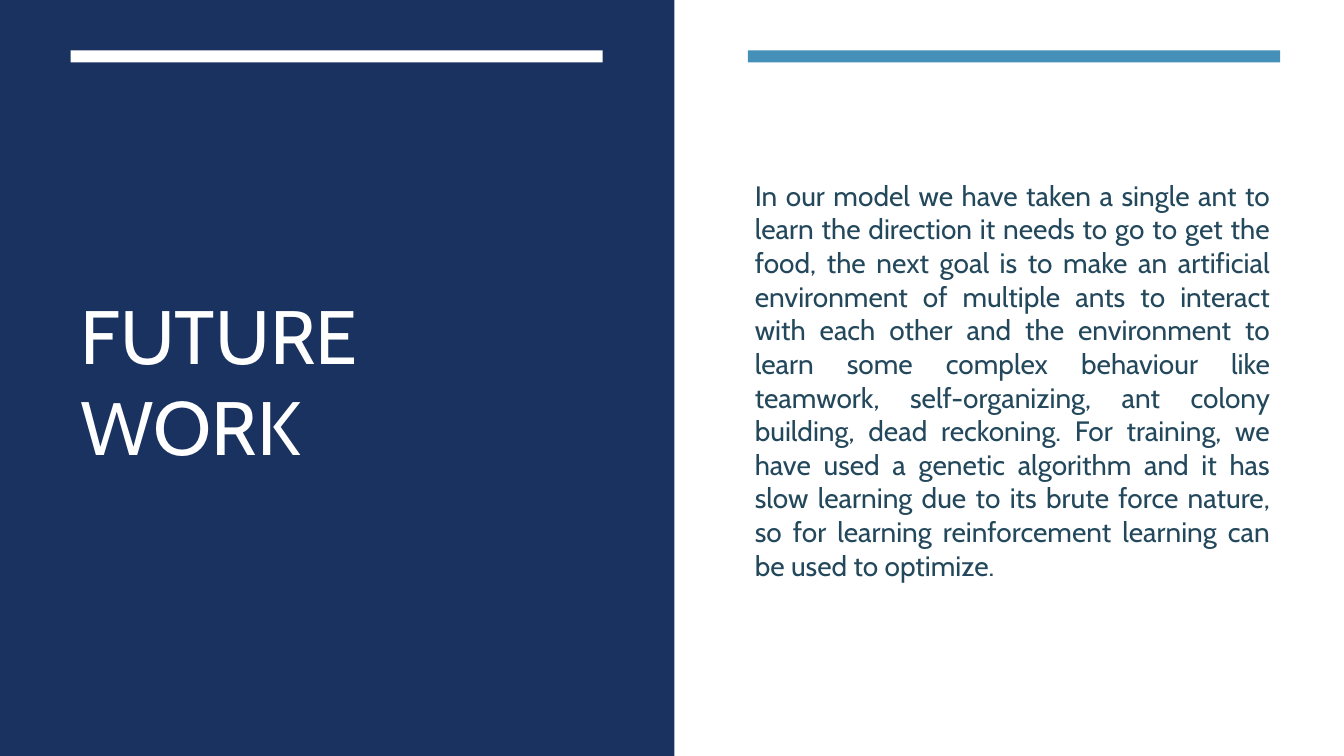
from pptx import Presentation
from pptx.dml.color import RGBColor
from pptx.enum.shapes import MSO_SHAPE as Shape
from pptx.enum.text import MSO_ANCHOR as Anchor, MSO_AUTO_SIZE as AutoSize, PP_ALIGN as Align
from pptx.util import Inches, Pt

COLUMNS, ROWS = 40, 30
TITLE_ONLY = 5

FUTURE_PLAN = (
    "In our model we have taken a single ant to learn the direction it needs to go "
    "to get the food, the next goal is to make an artificial environment of multiple "
    "ants to interact with each other and the environment to learn some complex "
    "behaviour like teamwork, self-organizing, ant colony building, dead reckoning. "
    "For training, we have used a genetic algorithm and it has slow learning due to "
    "its brute force nature, so for learning reinforcement learning can be used to "
    "optimize."
)


def color(hex_code):
    return RGBColor.from_string(hex_code)


def set_format(target, values):
    for name, value in values.items():
        setattr(target, name, value)


class SplitSlide:
    font = "Cabin"
    white, navy, blue, slate = "FFFFFF", "1A3260", "4590B8", "23485C"

    def __init__(self, deck):
        self.column = deck.slide_width / COLUMNS
        self.row = deck.slide_height / ROWS
        self.slide = deck.slides.add_slide(deck.slide_layouts[TITLE_ONLY])
        self.shapes = self.slide.shapes

    def place(self, left, top, width, height):
        """Turn grid columns and rows into slide lengths."""
        return (round(left * self.column), round(top * self.row),
                round(width * self.column), round(height * self.row))

    def block(self, fill, *cells):
        panel = self.shapes.add_shape(Shape.RECTANGLE, *self.place(*cells))
        panel.shadow.inherit = False
        panel.fill.solid()
        panel.fill.fore_color.rgb = color(fill)
        panel.line.fill.background()

    def fill_text(self, holder, wording, size, ink, **paragraph_format):
        frame = holder.text_frame
        frame.text = wording
        set_format(frame, {"word_wrap": True, "auto_size": AutoSize.NONE,
                           "vertical_anchor": Anchor.MIDDLE})
        paragraph = frame.paragraphs[0]
        set_format(paragraph, paragraph_format)
        font = paragraph.runs[0].font
        set_format(font, {"name": self.font, "size": Pt(size)})
        font.color.rgb = color(ink)

    def title(self, wording, *cells):
        heading = self.shapes.title
        set_format(heading, dict(zip(("left", "top", "width", "height"),
                                     self.place(*cells))))
        self.fill_text(heading, wording, 54, self.white, alignment=Align.LEFT)
        heading.text_frame.margin_right = Inches(0.2)
        # Bring the heading in front of the panels drawn so far
        self.shapes.element.append(heading.element)

    def body(self, wording, *cells):
        passage = self.shapes.add_textbox(*self.place(*cells))
        self.fill_text(passage, wording, 20, self.slate, alignment=Align.JUSTIFY,
                       space_before=Pt(4), space_after=Pt(6))


def main():
    deck = Presentation()
    set_format(deck, {"slide_width": Inches(13.33), "slide_height": Inches(7.5)})

    page = SplitSlide(deck)
    page.block(page.white, 0, 0, COLUMNS, ROWS)
    page.block(page.navy, 0, 0, 20.07, ROWS)
    page.title("FUTURE WORK", 2.1, 4.52, 15.84, 21.12)
    for accent, left in ((page.white, 2.1), (page.blue, 22.26)):
        page.block(accent, left, 2, 15.84, 0.48)
    page.body(FUTURE_PLAN, 22.17, 4.52, 15.93, 21.12)

    deck.save("out.pptx")


if __name__ == "__main__":
    main()
